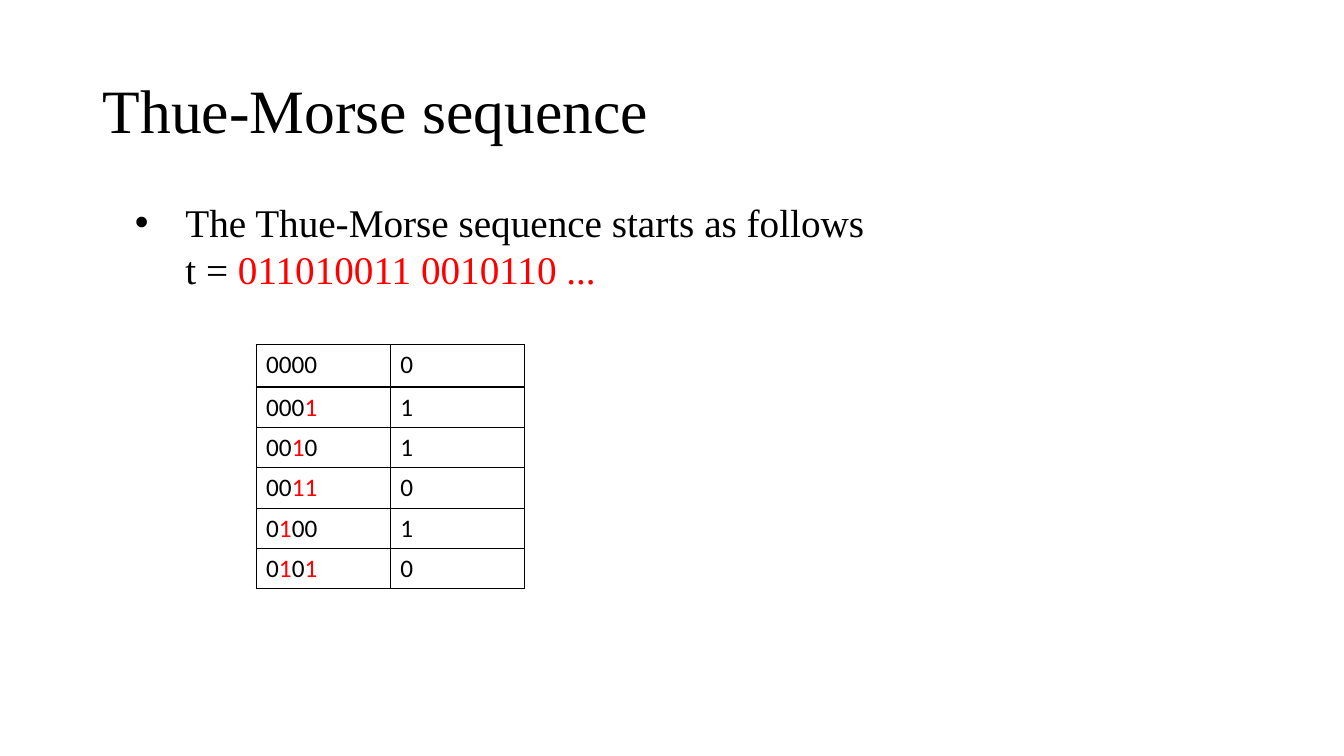
from itertools import groupby

from lxml.etree import SubElement
from pptx import Presentation
from pptx.dml.color import RGBColor
from pptx.enum.text import MSO_ANCHOR as Anchor
from pptx.oxml.ns import qn
from pptx.util import Inches, Pt

# Content
TITLE = "Thue-Morse sequence"
BLACK, RED = "000000", "FF0000"
BODY = [
    [("The Thue-Morse sequence starts as follows", BLACK)],
    [("t = ", BLACK), ("011010011 0010110 ...", RED)],
]
BINARY_NUMBERS = ["0000", "0001", "0010", "0011", "0100", "0101"]

# Layout in inches
COLUMN_WIDTH = 1.33
HEADER_HEIGHT, ROW_HEIGHT = 0.42, 0.4
SERIF, SANS = "Times New Roman", "Calibri"


def color(value):
    return RGBColor.from_string(value)


def write(paragraph, runs, font_name, size):
    paragraph.font.name = font_name
    paragraph.font.size = Pt(size)
    for text, run_color in runs:
        run = paragraph.add_run()
        run.text = text
        run.font.color.rgb = color(run_color)


def add_text_frame(slide, left, top, width, height):
    box = slide.shapes.add_textbox(
        Inches(left), Inches(top), Inches(width), Inches(height))
    box.text_frame.word_wrap = True
    return box.text_frame


def indent(paragraph, first_line, bullet=None):
    properties = paragraph._p.get_or_add_pPr()
    properties.set("marL", str(Inches(0.5)))
    properties.set("indent", str(Inches(first_line)))
    if bullet:
        SubElement(properties, qn("a:buFont"), typeface="Arial")
        SubElement(properties, qn("a:buChar"), char=bullet)


def set_borders(cell):
    properties = cell._tc.get_or_add_tcPr()
    for position, side in enumerate(("lnL", "lnR", "lnT", "lnB")):
        line = properties.makeelement(qn(f"a:{side}"), {"w": str(Pt(1))})
        properties.insert(position, line)
        fill = SubElement(line, qn("a:solidFill"))
        SubElement(fill, qn("a:srgbClr"), val=BLACK)


def ones_in_red(digits):
    return [("".join(group), RED if digit == "1" else BLACK)
            for digit, group in groupby(digits)]


presentation = Presentation()
presentation.slide_width = Inches(13.33)
presentation.slide_height = Inches(7.5)
slide = presentation.slides.add_slide(presentation.slide_layouts[6])

# Title
title_frame = add_text_frame(slide, 0.92, 0.4, 11.5, 1.45)
title_frame.vertical_anchor = Anchor.MIDDLE
title_frame.paragraphs[0].line_spacing = 0.9
write(title_frame.paragraphs[0], [(TITLE, BLACK)], SERIF, 44)

# Bulleted statement with its continuation line
body_frame = add_text_frame(slide, 1.24, 1.92, 10.19, 1.04)
statement, continuation = body_frame.paragraphs[0], body_frame.add_paragraph()
indent(statement, -0.5, "•")
continuation.level = 1
indent(continuation, 0)
for paragraph, runs in zip((statement, continuation), BODY):
    write(paragraph, runs, SERIF, 28)

# Table: each binary number and the parity of its ones
row_count = len(BINARY_NUMBERS)
table = slide.shapes.add_table(
    row_count, 2, Inches(2.54), Inches(3.42), Inches(2 * COLUMN_WIDTH),
    Inches(HEADER_HEIGHT + (row_count - 1) * ROW_HEIGHT)).table
table.first_row = table.horz_banding = False
for column in table.columns:
    column.width = Inches(COLUMN_WIDTH)
for index, number in enumerate(BINARY_NUMBERS):
    table.rows[index].height = Inches(ROW_HEIGHT if index else HEADER_HEIGHT)
    parity = str(number.count("1") % 2)
    for cell, runs in zip(table.rows[index].cells,
                          (ones_in_red(number), [(parity, BLACK)])):
        cell.fill.background()
        set_borders(cell)
        write(cell.text_frame.paragraphs[0], runs, SANS, 18)

presentation.save("out.pptx")
